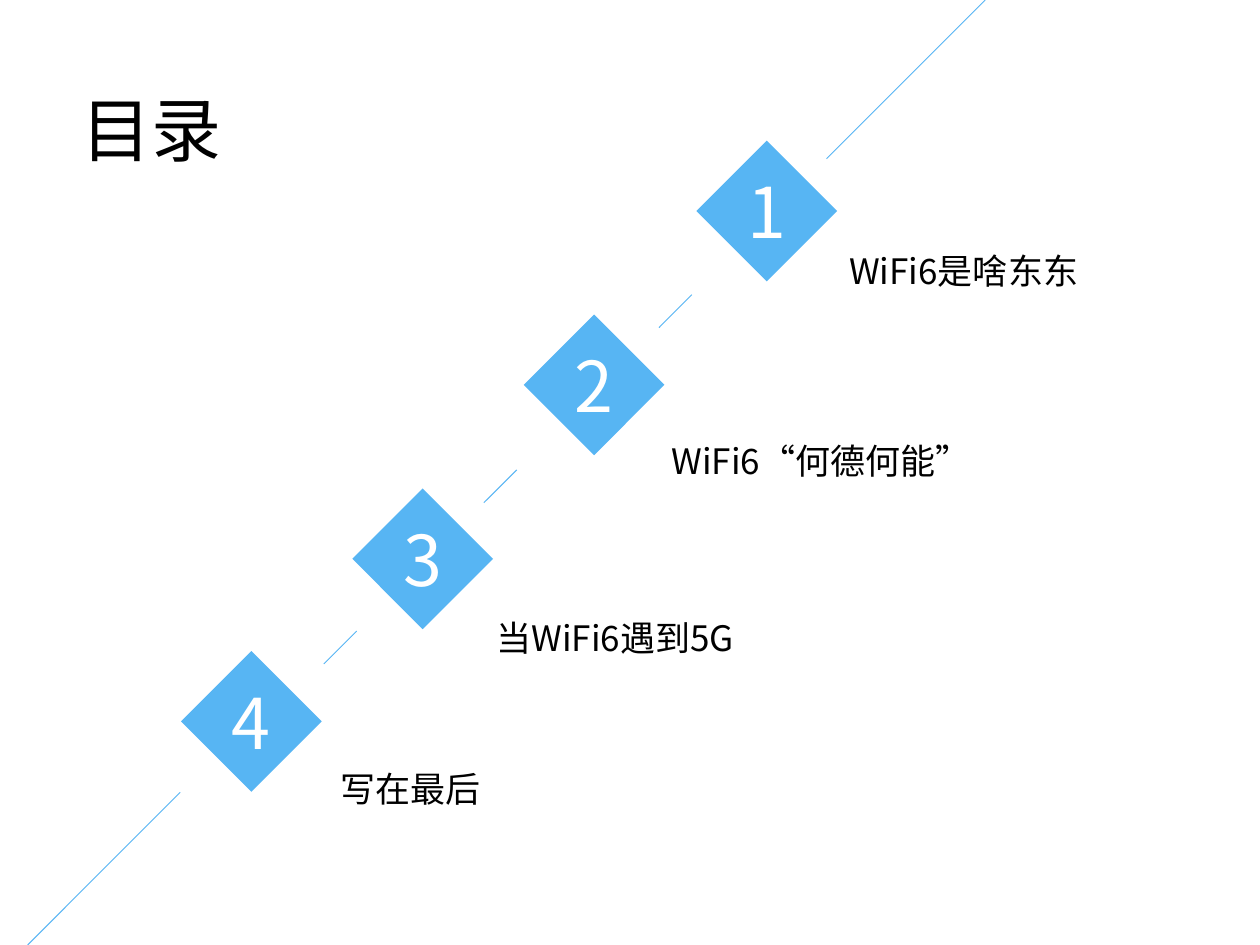
from dataclasses import dataclass

from lxml.etree import SubElement
from pptx import Presentation
from pptx.dml.color import RGBColor
from pptx.enum.shapes import MSO_CONNECTOR as Connector, MSO_SHAPE as Shape
from pptx.enum.text import MSO_AUTO_SIZE as AutoSize, PP_ALIGN as Align
from pptx.oxml.ns import qn
from pptx.util import Pt


@dataclass(frozen=True)
class Theme:
    """Colours, font and sizes shared by the whole slide."""
    accent: RGBColor = RGBColor(0x57, 0xB5, 0xF3)
    ink: RGBColor = RGBColor(0, 0, 0)
    paper: RGBColor = RGBColor(255, 255, 255)
    font: str = "Noto Sans CJK SC"
    large: int = 40
    label: int = 20
    line: float = 0.5


THEME = Theme()
DIAMOND_SIDE = 56.9
NUMBER_BOX = (52.6, 55.4)

STEPS = [
    ((409.7, 92.2), "WiFi6是啥东东", (478.1, 139, 147.6, 31.7)),
    ((311, 191.5), "WiFi6“何德何能”", (376.6, 247.7, 186, 31.7)),
    ((213.1, 290.9), "当WiFi6遇到5G", (276.5, 348.5, 154, 31.7)),
    ((115.2, 383.8), "写在最后", (187.2, 434.9, 96, 31.7)),
]
DASHES = [
    (15.8, 540, 103, 452.8),
    (185, 379.4, 203.8, 360.6),
    (276.5, 287.3, 295.3, 268.5),
    (376.6, 187.2, 395.4, 168.4),
    (472.3, 90.7, 563, 0),
]


def add_text(slide, box, text, size, color, align=Align.LEFT):
    """Place one line of text that wraps inside the given box."""
    frame = slide.shapes.add_textbox(*map(Pt, box)).text_frame
    frame.word_wrap = True
    frame.auto_size = AutoSize.SHAPE_TO_FIT_TEXT
    line = frame.paragraphs[0]
    line.text = text
    line.alignment = align
    line.font.size = Pt(size)
    line.font.name = THEME.font
    line.font.color.rgb = color
    east_asian = SubElement(line.font._element, qn("a:ea"))
    east_asian.set("typeface", THEME.font)


def add_dash(slide, ends):
    """Draw one piece of the rising line between two points."""
    dash = slide.shapes.add_connector(Connector.STRAIGHT, *map(Pt, ends))
    dash.line.color.rgb = THEME.accent
    dash.line.width = Pt(THEME.line)
    SubElement(dash._element.spPr, qn("a:effectLst"))


def add_step(slide, corner, number, label, label_box):
    """Draw a numbered diamond and its label."""
    left, top = corner
    diamond = slide.shapes.add_shape(
        Shape.RECTANGLE, Pt(left), Pt(top), Pt(DIAMOND_SIDE), Pt(DIAMOND_SIDE))
    diamond.rotation = 45
    diamond.shadow.inherit = False
    diamond.fill.solid()
    diamond.fill.fore_color.rgb = THEME.accent
    diamond.line.fill.background()
    width, height = NUMBER_BOX
    number_box = (left + (DIAMOND_SIDE - width) / 2,
                  top + (DIAMOND_SIDE - height) / 2, width, height)
    add_text(slide, number_box, str(number), THEME.large, THEME.paper, Align.CENTER)
    add_text(slide, label_box, label, THEME.label, THEME.ink)


def add_contents(slide):
    """Lay out the title, the rising line and the steps."""
    add_text(slide, (39.6, 46.1, 108.7, 55.4), "目录", THEME.large, THEME.ink)
    for ends in DASHES:
        add_dash(slide, ends)
    for number, (corner, label, label_box) in enumerate(STEPS, 1):
        add_step(slide, corner, number, label, label_box)


def main():
    """Build and save the contents slide."""
    deck = Presentation()
    deck.slide_width, deck.slide_height = Pt(720), Pt(540)
    add_contents(deck.slides.add_slide(deck.slide_layouts[6]))
    deck.save("out.pptx")


if __name__ == "__main__":
    main()
